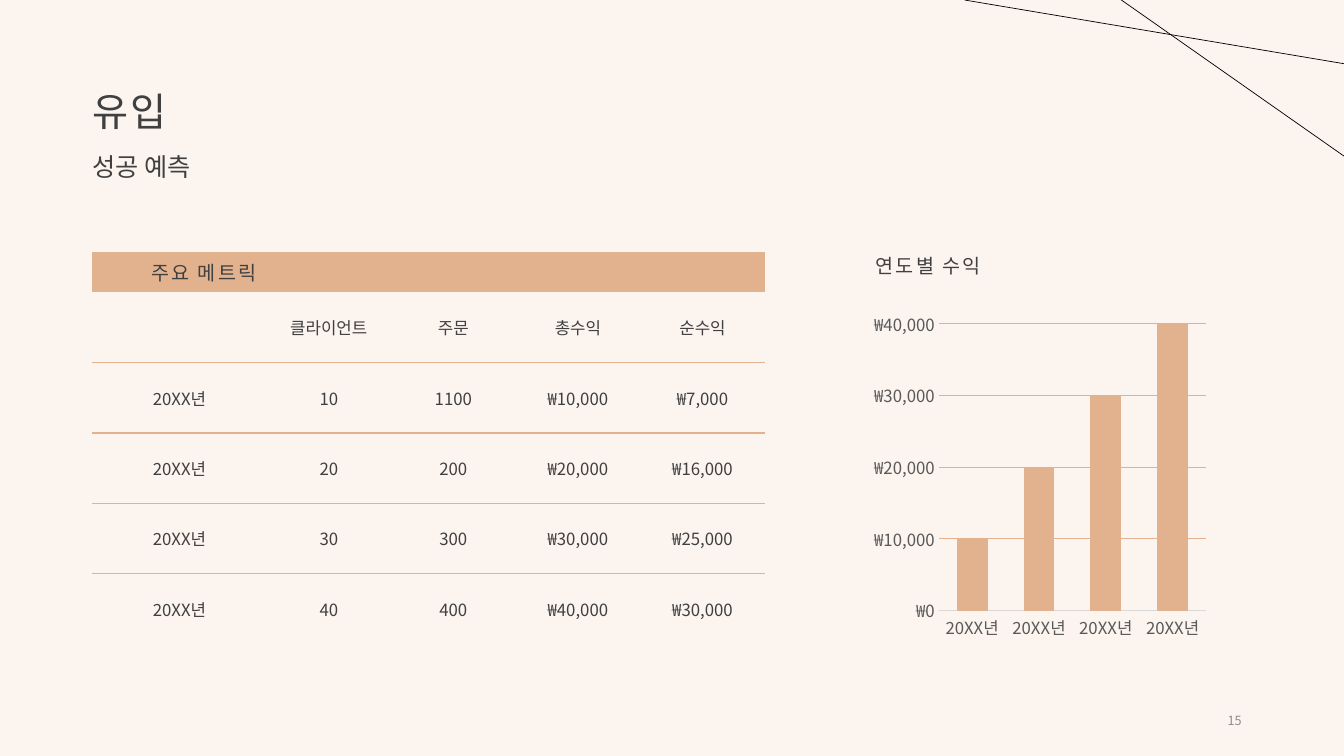
from dataclasses import dataclass

from lxml import etree
from pptx import Presentation
from pptx import util as u
from pptx.chart import data as chart_data
from pptx.dml import color as dml
from pptx.enum import chart as charts, shapes, text
from pptx.oxml import ns

Pt = u.Pt
ALIGN = text.PP_ALIGN
MIDDLE = text.MSO_ANCHOR.MIDDLE


@dataclass(frozen=True)
class Theme:
    font: str = "Noto Sans CJK KR"
    background: str = "FBF4EF"
    accent: str = "E2B18D"
    ink: str = "404040"
    axis_text: str = "595959"
    axis_line: str = "D9D9D9"
    page_text: str = "8C8C8C"
    line: str = "000000"
    title: float = 28
    subtitle: float = 18
    heading: float = 14
    body: float = 12
    page: float = 9
    spacing: float = 1.5


THEME = Theme()
METRICS = [
    ["주요 메트릭", "", "", "", ""],
    ["", "클라이언트", "주문", "총수익", "순수익"],
    ["20XX년", "10", "1100", "₩10,000", "₩7,000"],
    ["20XX년", "20", "200", "₩20,000", "₩16,000"],
    ["20XX년", "30", "300", "₩30,000", "₩25,000"],
    ["20XX년", "40", "400", "₩40,000", "₩30,000"],
]
REVENUE = [10000, 20000, 30000, 40000]


def rgb(value):
    return dml.RGBColor.from_string(value)


def apply(target, **values):
    for name, value in values.items():
        setattr(target, name, value)


def add_east_asian(properties):
    etree.SubElement(properties, ns.qn("a:ea"), typeface=THEME.font)


def write(frame, content, size, color=THEME.ink, spacing=0, **paragraph_format):
    paragraph = frame.paragraphs[0]
    apply(paragraph, **paragraph_format)
    run = paragraph.add_run()
    run.text = content
    apply(run.font, name=THEME.font, size=Pt(size))
    run.font.color.rgb = rgb(color)
    properties = run._r.get_or_add_rPr()
    properties.set("spc", str(int(spacing * 100)))
    add_east_asian(properties)


def add_title(slide, content, box):
    title = slide.shapes.title
    apply(title, **box)
    apply(title.text_frame, margin_left=0, vertical_anchor=MIDDLE,
          auto_size=text.MSO_AUTO_SIZE.NONE)
    write(title.text_frame, content, THEME.title, spacing=THEME.spacing,
          alignment=ALIGN.LEFT, line_spacing=0.9)


def add_text(slide, content, box, size, anchor=text.MSO_ANCHOR.TOP, **style):
    frame = slide.shapes.add_textbox(*box.values()).text_frame
    apply(frame, word_wrap=True, vertical_anchor=anchor)
    write(frame, content, size, **style)


def box_of(left, top, width, height):
    return dict(left=Pt(left), top=Pt(top), width=Pt(width), height=Pt(height))


def set_borders(cell, ruled):
    properties = cell._tc.get_or_add_tcPr()
    for index, side in enumerate("LRTB"):
        border = etree.Element(ns.qn(f"a:ln{side}"), w=str(Pt(1)))
        if side in ruled:
            fill = etree.SubElement(border, ns.qn("a:solidFill"))
            etree.SubElement(fill, ns.qn("a:srgbClr"), val=THEME.accent)
        else:
            etree.SubElement(border, ns.qn("a:noFill"))
        properties.insert(index, border)


def add_metrics_table(slide, box):
    last = len(METRICS) - 1
    table = slide.shapes.add_table(len(METRICS), len(METRICS[0]), *box.values()).table
    apply(table, first_row=False, horz_banding=False)
    for index, column in enumerate(table.columns):
        column.width = Pt(89 if index else 124.4)
    for r, values in enumerate(METRICS):
        table.rows[r].height = Pt(50.25 if r else 28)
        for c, value in enumerate(values):
            cell = table.cell(r, c)
            cell.vertical_anchor = MIDDLE
            if r == 0:
                cell.fill.solid()
                cell.fill.fore_color.rgb = rgb(THEME.accent)
            else:
                cell.fill.background()
            # Rules run between the rows below the heading band
            set_borders(cell, ("T" if r > 1 else "") + ("B" if 0 < r < last else ""))
            if not value:
                continue
            if r == 0:
                write(cell.text_frame, value, THEME.heading,
                      spacing=THEME.spacing, alignment=ALIGN.RIGHT)
            else:
                write(cell.text_frame, value, THEME.body, alignment=ALIGN.CENTER)


def place_plot(chart, **fractions):
    area = chart.element.find(f".//{ns.qn('c:plotArea')}")
    for old in area.findall(ns.qn("c:layout")):
        area.remove(old)
    layout = etree.Element(ns.qn("c:layout"))
    manual = etree.SubElement(layout, ns.qn("c:manualLayout"))
    settings = dict(layoutTarget="inner", xMode="edge", yMode="edge", **fractions)
    for name, value in settings.items():
        etree.SubElement(manual, ns.qn(f"c:{name}"), val=str(value))
    area.insert(0, layout)


def add_revenue_chart(slide, box):
    data = chart_data.CategoryChartData(number_format='"₩"#,##0')
    data.categories = ["20XX년"] * len(REVENUE)
    data.add_series("Series 1", REVENUE)
    chart = slide.shapes.add_chart(
        charts.XL_CHART_TYPE.COLUMN_CLUSTERED, *box.values(), data).chart
    apply(chart, has_legend=False, has_title=False)
    apply(chart.font, name=THEME.font, size=Pt(THEME.body))
    chart.font.color.rgb = rgb(THEME.axis_text)

    # Columns
    plot = chart.plots[0]
    apply(plot, gap_width=118, overlap=-3, vary_by_categories=False)
    fill = plot.series[0].format.fill
    fill.solid()
    fill.fore_color.rgb = rgb(THEME.accent)

    # Axes
    for axis in (chart.category_axis, chart.value_axis):
        apply(axis, major_tick_mark=charts.XL_TICK_MARK.NONE,
              minor_tick_mark=charts.XL_TICK_MARK.NONE)
        apply(axis.tick_labels.font, name=THEME.font, size=Pt(THEME.body))
        axis.tick_labels.font.color.rgb = rgb(THEME.axis_text)
    value_axis = chart.value_axis
    apply(value_axis, minimum_scale=0, maximum_scale=40000, major_unit=10000,
          has_major_gridlines=True)
    apply(value_axis.tick_labels, number_format='"₩"#,##0',
          number_format_is_linked=False)
    value_axis.format.line.fill.background()
    for line, color in ((chart.category_axis.format.line, THEME.axis_line),
                        (value_axis.major_gridlines.format.line, THEME.accent)):
        line.width = Pt(0.75)
        line.color.rgb = rgb(color)
    for properties in chart.element.iter(ns.qn("a:defRPr")):
        add_east_asian(properties)
    place_plot(chart, x=0.21, y=0.05, w=0.77, h=0.84)


def add_line(slide, *ends):
    line = slide.shapes.add_connector(
        shapes.MSO_CONNECTOR.STRAIGHT, *(Pt(value) for value in ends))
    line.line.width = Pt(0.5)
    line.line.color.rgb = rgb(THEME.line)
    etree.SubElement(line._element.spPr, ns.qn("a:effectLst"))


def main():
    presentation = Presentation()
    apply(presentation, slide_width=Pt(960), slide_height=Pt(540))
    slide = presentation.slides.add_slide(presentation.slide_layouts[5])
    slide.background.fill.solid()
    slide.background.fill.fore_color.rgb = rgb(THEME.background)

    # Headings
    heading = dict(line_spacing=0.9, space_before=Pt(10))
    add_title(slide, "유입", box_of(66, 29, 828, 104))
    add_text(slide, "성공 예측", box_of(59, 107, 533, 39), THEME.subtitle, **heading)

    # Metrics and revenue
    add_metrics_table(slide, box_of(66, 180, 480.4, 279.25))
    add_text(slide, "연도별 수익", box_of(618.5, 180, 248, 24.5), THEME.heading,
             spacing=THEME.spacing, **heading)
    add_revenue_chart(slide, box_of(618.5, 219, 248, 244))

    # Page number and corner lines
    add_text(slide, "15", box_of(678, 500, 216, 29), THEME.page, anchor=MIDDLE,
             color=THEME.page_text, alignment=ALIGN.RIGHT)
    add_line(slide, 801, 0, 960, 111.5)
    add_line(slide, 689, 0, 960, 45.5)

    presentation.save("out.pptx")


if __name__ == "__main__":
    main()
